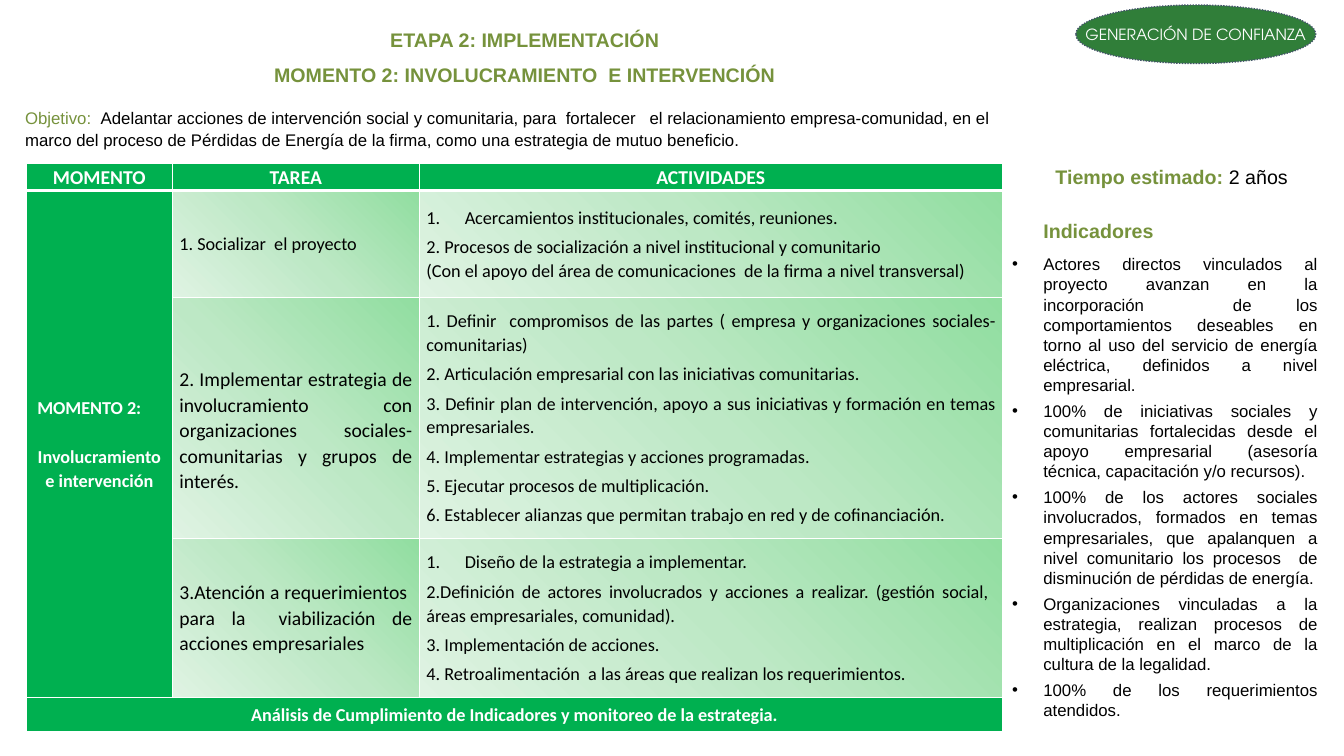
"""Build the slide on stage 2, moment 2: involvement and intervention."""
from dataclasses import dataclass, field
from typing import Any

from lxml import etree
from pptx import Presentation, util as u
from pptx.dml import color
from pptx.enum import dml, shapes, text
from pptx.oxml import ns

HUES = {"olive": "76923C", "black": "000000", "white": "FFFFFF", "green": "00B050",
        "badge": "307E39", "slate": "44546A",
        "mint": "91DEA0", "pale": "BDE8C5", "mist": "DFF3E3"}
ALIGN = text.PP_ALIGN
TOP, MID = text.MSO_ANCHOR.TOP, text.MSO_ANCHOR.MIDDLE


@dataclass
class Run:
    """A stretch of text with one format."""
    words: str
    hue: str = "black"
    bold: bool = False


@dataclass
class Para:
    """A paragraph with its spacing, indent and mark."""
    runs: list[Run]
    align: Any = ALIGN.JUSTIFY
    before: float = 0
    left: float = 0
    mark: str = ""


@dataclass
class Style:
    """Font and spacing shared by a block of text."""
    name: str
    size: float
    lead: float = 1.0


@dataclass
class Cell:
    """A table cell with its place, text and look."""
    row: int
    col: int
    paras: list[Para]
    size: float = 13
    hue: str = ""
    top: float = 0
    span: tuple[int, int] = field(default=(0, 0))


def rgb(hue: str) -> color.RGBColor:
    """Return the named colour."""
    return color.RGBColor.from_string(HUES[hue])


def put(item: Any, **vals: Any) -> None:
    """Set each given value on the item."""
    for key, val in vals.items():
        setattr(item, key, val)


def node(parent: Any, tag: str, **atts: Any) -> Any:
    """Add a child element in the drawing namespace."""
    return etree.SubElement(parent, ns.qn("a:" + tag), {k: str(v) for k, v in atts.items()})


def write(frame: Any, paras: list[Para], style: Style) -> None:
    """Fill a text frame with paragraphs."""
    for i, para in enumerate(paras):
        p = frame.paragraphs[0] if i == 0 else frame.add_paragraph()
        props = p._p.get_or_add_pPr()
        if para.left:
            props.set("marL", str(u.Inches(para.left)))
        if para.mark:
            props.set("indent", str(-u.Inches(para.left)))
            if para.mark == "1.":
                node(props, "buAutoNum", type="arabicPeriod")
            else:
                node(props, "buFont", typeface="Arial")
                node(props, "buChar", char=para.mark)
        put(p, alignment=para.align, line_spacing=style.lead)
        if para.before:
            p.space_before = u.Pt(para.before)
        for run in para.runs:
            r = p.add_run()
            r.text = run.words
            put(r.font, name=style.name, size=u.Pt(style.size), bold=run.bold)
            r.font.color.rgb = rgb(run.hue)


def box(slide: Any, at: tuple[float, ...], paras: list[Para], style: Style,
        wrap: bool = True) -> None:
    """Add a text box."""
    frame = slide.shapes.add_textbox(*map(u.Inches, at)).text_frame
    frame.word_wrap = wrap
    write(frame, paras, style)


def edge(props: Any, row: int) -> None:
    """Draw the white borders of a cell."""
    for side in "LRTB":
        heavy = (row == 0 and side == "B") or (row == 1 and side == "T")
        line = node(props, "ln" + side, w=u.Pt(3 if heavy else 1))
        node(node(line, "solidFill"), "srgbClr", val=HUES["white"])


def fade(props: Any) -> None:
    """Fill a cell with green fading from its top right corner."""
    grad = node(props, "gradFill", rotWithShape=1)
    stops = node(grad, "gsLst")
    for i, hue in enumerate(("mint", "pale", "mist")):
        node(node(stops, "gs", pos=i * 50000), "srgbClr", val=HUES[hue])
    node(node(grad, "path", path="circle"), "fillToRect", l=100000, b=100000)
    node(grad, "tileRect", t=-100000, r=-100000)


def grid(slide: Any, cells: list[Cell]) -> None:
    """Add the table of tasks and activities."""
    cols, rows = (1.45, 2.45, 5.78), (0.27, 1.06, 2.39, 1.58, 0.34)
    at = (0.26, 1.62, sum(cols), sum(rows))
    table = slide.shapes.add_table(len(rows), len(cols), *map(u.Inches, at)).table
    put(table, first_row=False, horz_banding=False)
    for col, wide in zip(table.columns, cols):
        col.width = u.Inches(wide)
    for i, (row, high) in enumerate(zip(table.rows, rows)):
        row.height = u.Inches(high)
        for cell in row.cells:
            put(cell, margin_left=u.Inches(0.07), margin_right=u.Inches(0.07),
                margin_top=0, margin_bottom=0, vertical_anchor=MID)
            edge(cell._tc.get_or_add_tcPr(), i)
    for item in cells:
        cell = table.cell(item.row, item.col)
        if any(item.span):
            cell.merge(table.cell(item.row + item.span[0], item.col + item.span[1]))
        cell.margin_top = u.Inches(item.top)
        if item.hue:
            cell.fill.solid()
            cell.fill.fore_color.rgb = rgb(item.hue)
        else:
            fade(cell._tc.get_or_add_tcPr())
        write(cell.text_frame, item.paras, Style("Calibri", item.size, 1.07))


def bold(words: str, hue: str, align: Any = ALIGN.CENTER, **more: Any) -> Para:
    """Make a bold paragraph."""
    return Para([Run(words, hue, True)], align, **more)


def steps(*lines: str, first: str = "") -> list[Para]:
    """Make spaced activity lines, the first one numbered if given."""
    head = [Para([Run(first)], left=0.38, mark="1.")] if first else []
    return head + [Para([Run(s)], before=4 if head or i else 0) for i, s in enumerate(lines)]


HEADS = ("MOMENTO", "TAREA", "ACTIVIDADES")
CELLS = [Cell(0, i, [bold(s, "white")], 14, "green") for i, s in enumerate(HEADS)] + [
    Cell(1, 0, [bold("MOMENTO 2:", "white", ALIGN.LEFT, left=0.04),
                bold("Involucramiento e intervención", "white", before=18)],
         hue="green", span=(2, 0)),
    Cell(1, 1, [Para([Run("1. Socializar  el proyecto")], ALIGN.LEFT)]),
    Cell(1, 2, steps("2. Procesos de socialización a nivel institucional y comunitario",
                     first="Acercamientos institucionales, comités, reuniones.")
         + steps("(Con el apoyo del área de comunicaciones  de la firma a nivel transversal)")),
    Cell(2, 1, steps("2. Implementar estrategia de involucramiento con organizaciones "
                     "sociales- comunitarias y grupos de interés."), 14, top=0.25),
    Cell(2, 2, steps(
        "1. Definir  compromisos de las partes ( empresa y organizaciones sociales-comunitarias)",
        "2. Articulación empresarial con las iniciativas comunitarias.",
        "3. Definir plan de intervención, apoyo a sus iniciativas y formación en temas "
        "empresariales.",
        "4. Implementar estrategias y acciones programadas.",
        "5. Ejecutar procesos de multiplicación.",
        "6. Establecer alianzas que permitan trabajo en red y de cofinanciación.")),
    Cell(3, 1, steps("3.Atención a requerimientos  para la  viabilización de acciones "
                     "empresariales"), 14),
    Cell(3, 2, steps(
        "2.Definición de actores involucrados y acciones a realizar. (gestión social,  áreas "
        "empresariales, comunidad).",
        "3. Implementación de acciones.",
        "4. Retroalimentación  a las áreas que realizan los requerimientos.",
        first="Diseño de la estrategia a implementar.")),
    Cell(4, 0, [bold("Análisis de Cumplimiento de Indicadores y monitoreo de la estrategia.",
                     "white")], hue="green", span=(0, 2))]

GOALS = (
    "Actores directos vinculados al proyecto avanzan en la incorporación  de los comportamientos "
    "deseables en torno al uso del servicio de energía eléctrica, definidos a nivel empresarial.",
    "100% de iniciativas sociales y comunitarias fortalecidas desde el apoyo empresarial "
    "(asesoría técnica, capacitación y/o recursos).",
    "100% de los actores sociales involucrados, formados en temas empresariales, que apalanquen "
    "a nivel comunitario los procesos  de disminución de pérdidas de energía.",
    "Organizaciones vinculadas a la estrategia, realizan procesos de multiplicación en el marco "
    "de la cultura de la legalidad.",
    "100% de los requerimientos atendidos.")
AIM = ("Adelantar acciones de intervención social y comunitaria, para  fortalecer   el "
       "relacionamiento empresa-comunidad, en el marco del proceso de Pérdidas de Energía de "
       "la firma, como una estrategia de mutuo beneficio.")


def badge(slide: Any) -> None:
    """Add the oval label in the top corner."""
    oval = slide.shapes.add_shape(shapes.MSO_SHAPE.OVAL,
                                  *map(u.Inches, (10.67, 0.05, 2.38, 0.58)))
    oval.shadow.inherit = False
    oval.fill.solid()
    oval.fill.fore_color.rgb = rgb("badge")
    oval.line.color.rgb = rgb("slate")
    put(oval.line, width=u.Pt(1), dash_style=dml.MSO_LINE.ROUND_DOT)
    put(oval.text_frame, word_wrap=False, vertical_anchor=MID)
    write(oval.text_frame, [Para([Run("GENERACIÓN DE CONFIANZA", "white")], ALIGN.CENTER)],
          Style("TeX Gyre Adventor", 11))


def main() -> None:
    """Build and save the slide."""
    deck = Presentation()
    put(deck, slide_width=u.Inches(13.33), slide_height=u.Inches(7.5))
    slide = deck.slides.add_slide(deck.slide_layouts[5])
    title = slide.shapes.title
    put(title, left=u.Inches(0.15), top=u.Inches(0.19), width=u.Inches(10.11),
        height=u.Inches(0.75))
    put(title.text_frame, vertical_anchor=TOP, word_wrap=True,
        auto_size=text.MSO_AUTO_SIZE.NONE)
    write(title.text_frame, [
        bold("ETAPA 2: IMPLEMENTACIÓN", "olive"),
        bold("MOMENTO 2: INVOLUCRAMIENTO  E INTERVENCIÓN", "olive", before=6)],
        Style("Arial", 14, 1.15))
    badge(slide)
    box(slide, (0.15, 1.01, 10.11, 0.55),
        [Para([Run("Objetivo:  ", "olive"), Run(AIM)], ALIGN.LEFT)], Style("Arial", 12, 1.07))
    grid(slide, CELLS)
    box(slide, (10.37, 1.55, 2.51, 0.35),
        [Para([Run("Tiempo estimado: ", "olive", True), Run("2 años")])],
        Style("Arial", 14, 1.15), False)
    box(slide, (9.94, 2.12, 3.23, 0.35), [bold("Indicadores", "olive", ALIGN.LEFT, left=0.31)],
        Style("Arial", 14))
    box(slide, (9.94, 2.47, 3.23, 4.85),
        [Para([Run(s)], before=4 if i else 0, left=0.31, mark="•")
         for i, s in enumerate(GOALS)], Style("Arial", 12))
    deck.save("out.pptx")


if __name__ == "__main__":
    main()
